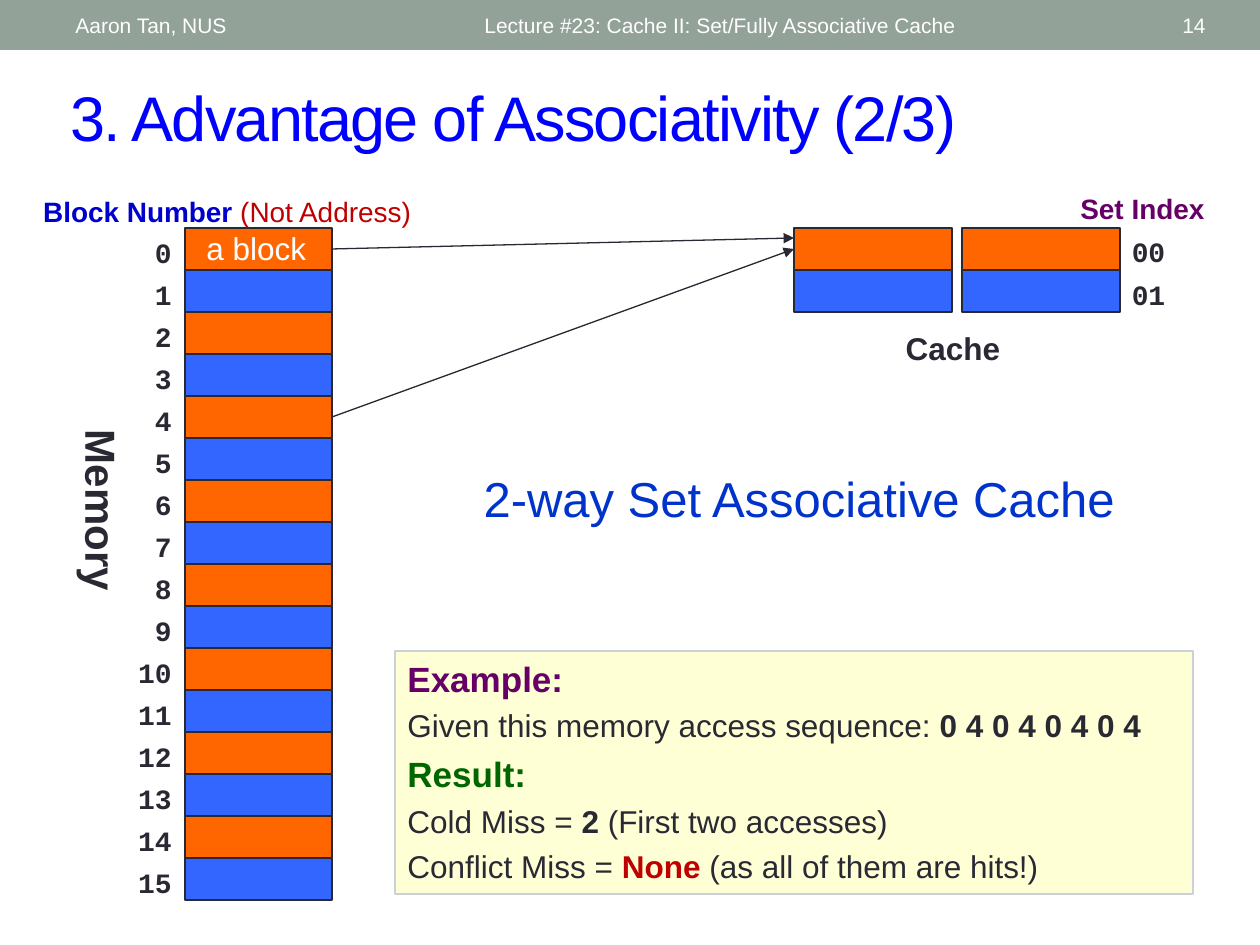
"""Build the slide on the advantage of a 2-way set associative cache."""
from pptx import Presentation
from pptx.dml.color import RGBColor as Rgb
from pptx.enum.shapes import MSO_CONNECTOR as Link, MSO_SHAPE as Kind
from pptx.enum.text import MSO_ANCHOR as Anchor, PP_ALIGN as Align
from pptx.oxml.ns import qn
from pptx.util import Emu, Pt
from lxml.etree import SubElement

SCALE = 914400 / 126
WHITE = Rgb(0xFF, 0xFF, 0xFF)
DARK = Rgb(0x29, 0x29, 0x34)
SAGE = Rgb(0x93, 0xA2, 0x99)
ORANGE = Rgb(0xFF, 0x66, 0x00)
BLUE = Rgb(0x33, 0x66, 0xFF)
TITLE = Rgb(0x00, 0x00, 0xFF)
NAVY = Rgb(0x00, 0x00, 0xCC)
ROYAL = Rgb(0x00, 0x33, 0xCC)
RED = Rgb(0xC0, 0x00, 0x00)
PURPLE = Rgb(0x66, 0x00, 0x66)
GREEN = Rgb(0x00, 0x66, 0x00)
CREAM = Rgb(0xFF, 0xFF, 0xCC)
GREY = Rgb(0xCC, 0xD1, 0xD9)
LEFT, MID, RIGHT = Align.LEFT, Align.CENTER, Align.RIGHT
SANS, MONO = "Arial", "Courier New"

deck = Presentation()
deck.slide_width, deck.slide_height = Emu(9144000), Emu(6858000)
shapes = deck.slides.add_slide(deck.slide_layouts[6]).shapes


def rect(at, fill, line=None, alpha=None):
    shape = shapes.add_shape(Kind.RECTANGLE, *[Emu(round(v * SCALE)) for v in at])
    shape.shadow.inherit = False
    shape.fill.solid()
    shape.fill.fore_color.rgb = fill
    if alpha:
        tint = shape._element.spPr.find(qn("a:solidFill"))[0]
        SubElement(tint, qn("a:alpha")).set("val", str(alpha * 1000))
    if line:
        shape.line.color.rgb = line
        shape.line.width = Pt(0.75)
    else:
        shape.line.fill.background()
    return shape


def write(at, rows, align=LEFT, anchor=Anchor.TOP, face=SANS, shape=None):
    shape = shape or shapes.add_textbox(*[Emu(round(v * SCALE)) for v in at])
    frame = shape.text_frame
    frame.word_wrap = align != MID
    frame.vertical_anchor = anchor
    for i, row in enumerate(rows):
        para = frame.add_paragraph() if i else frame.paragraphs[0]
        para.alignment = align
        if i:
            para.space_before = Pt(row[0][1] * 0.23)
        for text, size, color, bold in row:
            run = para.add_run()
            run.text = text
            run.font.name, run.font.size = face, Pt(size)
            run.font.color.rgb, run.font.bold = color, bold
    return shape


rect((0, 0, 1260, 50), SAGE)
for left, width, text, align in [
    (472, 567, "Lecture #23: Cache II: Set/Fully Associative Cache", LEFT),
    (63, 399, "Aaron Tan, NUS", LEFT),
    (1099, 119, "14", RIGHT),
]:
    write((left, 3, width, 45), [[(text, 12, WHITE, False)]], align, Anchor.MIDDLE)

head = write((58, 72, 1160, 88),
             [[("3. Advantage of Associativity (2/3)", 36, TITLE, False)]],
             anchor=Anchor.MIDDLE)
head.text_frame.paragraphs[0].runs[0].font._element.set("spc", "-100")

blocks = []
for i in range(16):
    top = 228 + 42 * i
    blocks.append(rect((185, top, 147, 42), (ORANGE, BLUE)[i % 2], DARK))
    write((111, top + 1, 73, 47), [[(str(i), 16, DARK, True)]], RIGHT, face=MONO)

ways = []
for left in (794, 962):
    for i, fill in enumerate((ORANGE, BLUE)):
        ways.append(rect((left, 228 + 42 * i, 158, 42), fill, DARK))

for i, text in enumerate(("00", "01")):
    write((1119, 228 + 43 * i, 59, 47), [[(text, 16, DARK, True)]], MID, face=MONO)

for block, end in [(blocks[0], 238), (blocks[4], 249)]:
    arrow = shapes.add_connector(Link.STRAIGHT, 0, 0, Emu(round(794 * SCALE)),
                                 Emu(round(end * SCALE)))
    arrow.begin_connect(block, 3)
    if block is blocks[4]:
        arrow.end_connect(ways[0], 1)
    arrow.line.color.rgb = DARK
    arrow.line.width = Pt(0.75)
    SubElement(arrow.line._get_or_add_ln(), qn("a:tailEnd")).set("type", "triangle")
    SubElement(arrow._element.spPr, qn("a:effectLst"))

write((28, 188, 406, 47), [[("Block Number ", 16, NAVY, True),
                            ("(Not Address) ", 16, RED, False)]], MID)
for at, text, size, color, bold in [
    ((1067, 185, 151, 47), "Set Index", 16, PURPLE, True),
    ((877, 323, 152, 63), "Cache", 18, DARK, True),
    ((457, 462, 684, 72), "2-way Set Associative Cache", 28, ROYAL, False),
]:
    write(at, [[(text, size, color, bold)]], MID)
write((194, 223, 126, 50), [[("a block", 18, WHITE, False)]])

side = rect((8, 479, 188, 63), WHITE, alpha=70)
side.rotation = 90
write(None, [[("Memory", 24, DARK, True)]], MID, shape=side)

write(None, [
    [("Example:", 20, PURPLE, True)],
    [("Given this memory access sequence: ", 18, DARK, False),
     ("0 4 0 4 0 4 0 4", 18, DARK, True)],
    [("Result:", 20, GREEN, True)],
    [("Cold Miss = ", 18, DARK, False), ("2", 18, DARK, True),
     (" (First two accesses)", 18, DARK, False)],
    [("Conflict Miss = ", 18, DARK, False), ("None ", 18, RED, True),
     ("(as all of them are hits!)", 18, DARK, False)],
], shape=rect((395, 651, 798, 243), CREAM, GREY, 80))

deck.save("out.pptx")
